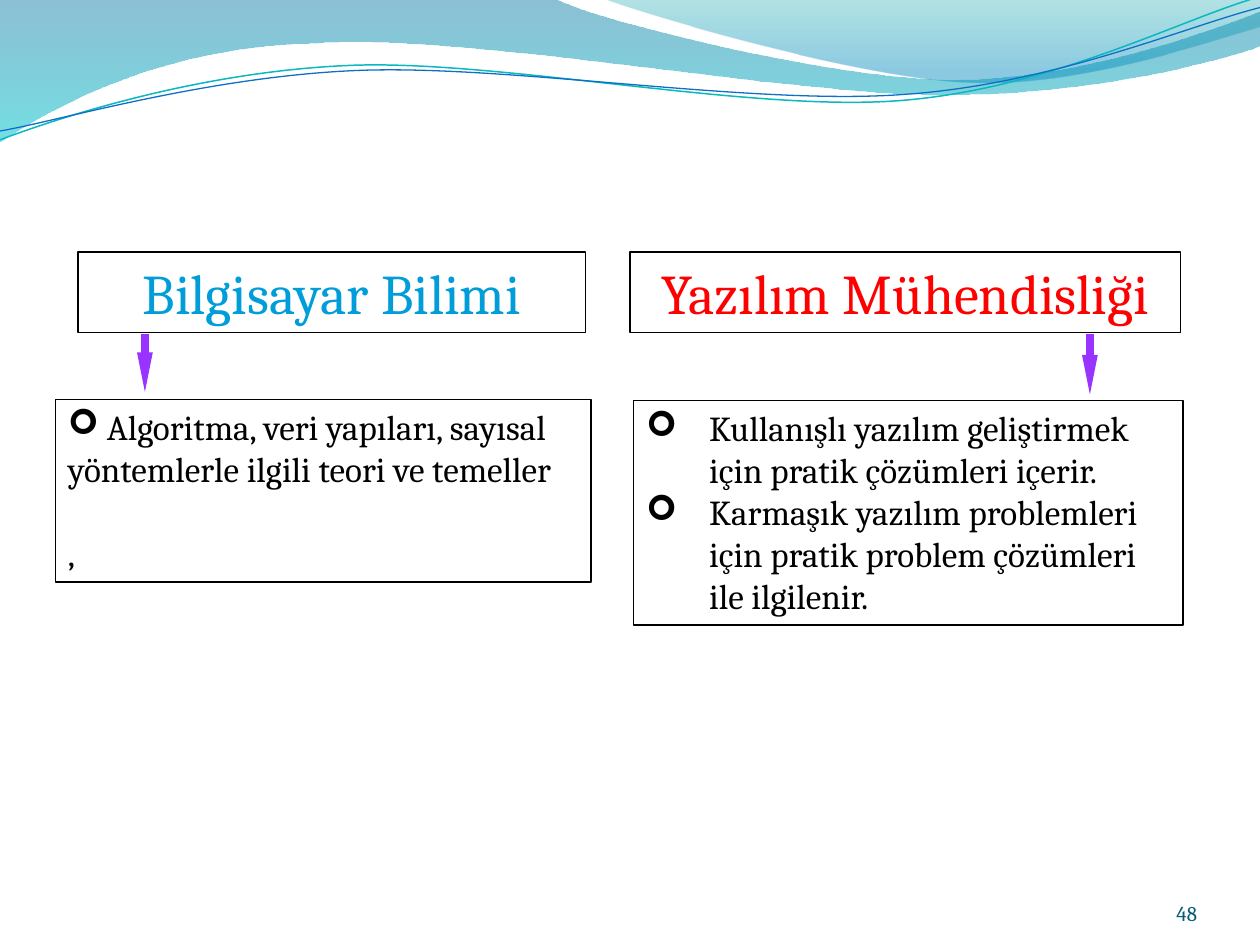
from dataclasses import dataclass

from lxml import etree
from pptx import Presentation
from pptx import util as u
from pptx.dml.color import RGBColor
from pptx.enum import shapes, text
from pptx.oxml.ns import qn

FONT = "Cambria"
BLACK = "000000"
ARROW_COLOUR = "9933FF"
BULLET = "➢"
BULLET_FONT = "Wingdings"
UNITS_PER_INCH = 100

Point = tuple[float, float]


@dataclass
class Wave:
    """An outline of points; a segment of one point is a line, of three a Bézier curve."""
    start: Point
    segments: list[list[Point]]


@dataclass
class Tint:
    position: float
    colour: str
    opacity: int


@dataclass
class Box:
    left: float
    top: float
    width: float
    height: float


@dataclass
class Item:
    words: str
    bulleted: bool = True
    hanging: float = 0
    space_before: float = 0


@dataclass
class Topic:
    title: str
    title_colour: str
    title_box: Box
    items: list[Item]
    items_box: Box
    arrow_x: float
    arrow_end: float


FILLED_WAVES = [
    (Wave((0, 0), [
        [(4.4, -0.01)],
        [(4.76, 0.17), (6.64, 0.63), (7.58, 0.63)],
        [(8.53, 0.63), (9.58, 0.26), (10, 0.09)],
        [(10.01, 0.36)],
        [(9.83, 0.44), (8.7, 0.76), (7.46, 0.75)],
        [(6.22, 0.75), (3.82, 0.28), (2.57, 0.34)],
        [(1.29, 0.36), (0.46, 0.83), (-0.01, 1.13)],
        [(0, 0)],
    ]), [Tint(0, "0074A1", 45), Tint(1, "00C6CF", 55)]),
    (Wave((4.79, -0.01), [
        [(5.09, 0.11), (6.82, 0.62), (7.69, 0.65)],
        [(8.56, 0.69), (9.61, 0.32), (10, 0.21)],
        [(10, 0)],
        [(4.79, -0.01)],
    ]), [Tint(0, "00A1A9", 30), Tint(0.8, "008BBF", 45)]),
]

LINE_WAVES = [
    (Wave((0, 1.11), [
        [(0.48, 0.93), (1.58, 0.57), (2.77, 0.52)],
        [(3.95, 0.47), (5.93, 0.89), (7.13, 0.8)],
        [(8.33, 0.71), (9.38, 0.15), (9.98, -0.02)],
    ]), "0AB8BF", 0.85),
    (Wave((0, 1.04), [
        [(0.47, 0.96), (1.64, 0.61), (2.83, 0.56)],
        [(4.03, 0.51), (5.97, 0.84), (7.17, 0.75)],
        [(8.36, 0.67), (9.41, 0.21), (10, 0.06)],
    ]), "0F6FC6", 0.75),
]

TOPICS = [
    Topic("Bilgisayar Bilimi", "009DD9", Box(0.62, 2, 4.03, 0.64),
          [Item(" Algoritma, veri yapıları, sayısal yöntemlerle ilgili teori ve temeller"),
           Item(",", bulleted=False, space_before=24)],
          Box(0.44, 3.17, 4.25, 1.45), 1.15, 3.11),
    Topic("Yazılım Mühendisliği", "FF0000", Box(5, 2, 4.37, 0.64),
          [Item("Kullanışlı yazılım geliştirmek için pratik çözümleri içerir.", hanging=0.5),
           Item("Karmaşık yazılım problemleri için pratik problem çözümleri ile ilgilenir.",
                hanging=0.5)],
          Box(5.03, 3.18, 4.36, 1.78), 8.65, 3.13),
]


def rgb(colour: str) -> RGBColor:
    return RGBColor.from_string(colour)


def place(box: Box) -> list[int]:
    return [u.Inches(n) for n in (box.left, box.top, box.width, box.height)]


def set_line(line, colour: str, width: float) -> None:
    line.color.rgb = rgb(colour)
    line.width = u.Pt(width)


def set_font(font, size: float, colour: str) -> None:
    font.name, font.size, font.color.rgb = FONT, u.Pt(size), rgb(colour)


def to_units(point: Point) -> Point:
    return tuple(round(n * UNITS_PER_INCH) for n in point)


def add_wave(slide, wave: Wave, closed: bool):
    """Lay out all points as lines, then merge each three-point segment into a curve."""
    builder = slide.shapes.build_freeform(*to_units(wave.start),
                                          scale=u.Inches(1) / UNITS_PER_INCH)
    builder.add_line_segments([to_units(p) for s in wave.segments for p in s], close=closed)
    shape = builder.convert_to_shape()
    shape.shadow.inherit = False
    lines = iter(list(shape._element.iter(qn("a:lnTo"))))
    for segment in wave.segments:
        parts = [next(lines) for _ in segment]
        if len(parts) == 3:
            curve = etree.Element(qn("a:cubicBezTo"))
            parts[0].addprevious(curve)
            for part in parts:
                curve.append(part[0])
                part.getparent().remove(part)
    return shape


def fill_gradient(fill, tints: list[Tint]) -> None:
    fill.gradient()
    fill.gradient_angle = 270
    for stop, tint in zip(fill.gradient_stops, tints):
        stop.position = tint.position
        stop.color.rgb = rgb(tint.colour)
    for colour, tint in zip(fill._xPr.iter(qn("a:srgbClr")), tints):
        etree.SubElement(colour, qn("a:alpha"), val=str(tint.opacity * 1000))


def add_frame(slide, box: Box):
    """Add an outlined rectangle and return its text frame."""
    shape = slide.shapes.add_shape(shapes.MSO_SHAPE.RECTANGLE, *place(box))
    shape.shadow.inherit = False
    shape.fill.background()
    set_line(shape.line, BLACK, 0.75)
    shape.text_frame.word_wrap = True
    shape.text_frame.vertical_anchor = text.MSO_ANCHOR.TOP
    return shape.text_frame


def add_items(frame, items: list[Item]) -> None:
    for index, item in enumerate(items):
        paragraph = frame.add_paragraph() if index else frame.paragraphs[0]
        paragraph.text = item.words
        paragraph.alignment = text.PP_ALIGN.LEFT
        paragraph.space_before = u.Pt(item.space_before)
        set_font(paragraph.font, 20, BLACK)
        if item.bulleted:
            properties = paragraph._p.get_or_add_pPr()
            properties.set("marL", str(u.Inches(item.hanging)))
            properties.set("indent", str(-u.Inches(item.hanging)))
            defaults = properties.find(qn("a:defRPr"))
            defaults.addprevious(etree.Element(qn("a:buFont"), typeface=BULLET_FONT))
            defaults.addprevious(etree.Element(qn("a:buChar"), char=BULLET))


def add_arrow(slide, x: float, top: float, bottom: float) -> None:
    arrow = slide.shapes.add_connector(
        shapes.MSO_CONNECTOR.STRAIGHT, *(u.Inches(n) for n in (x, top, x, bottom)))
    set_line(arrow.line, ARROW_COLOUR, 4.5)
    etree.SubElement(arrow.line._get_or_add_ln(), qn("a:tailEnd"),
                     type="triangle", w="sm", len="lg")
    etree.SubElement(arrow._element.spPr, qn("a:effectLst"))


def add_topic(slide, topic: Topic) -> None:
    title = add_frame(slide, topic.title_box).paragraphs[0]
    title.text = topic.title
    title.alignment = text.PP_ALIGN.CENTER
    set_font(title.font, 32, topic.title_colour)
    add_items(add_frame(slide, topic.items_box), topic.items)
    add_arrow(slide, topic.arrow_x, 2.65, topic.arrow_end)


def add_page_number(slide, number: str) -> None:
    frame = slide.shapes.add_textbox(*place(Box(8.67, 6.95, 0.83, 0.4))).text_frame
    frame.word_wrap = True
    frame.vertical_anchor = text.MSO_ANCHOR.BOTTOM
    frame.margin_left = frame.margin_right = frame.margin_top = frame.margin_bottom = 0
    paragraph = frame.paragraphs[0]
    paragraph.text = number
    paragraph.alignment = text.PP_ALIGN.RIGHT
    set_font(paragraph.font, 12, "045D75")


def main() -> None:
    deck = Presentation()
    deck.slide_width, deck.slide_height = u.Inches(10), u.Inches(7.5)
    slide = deck.slides.add_slide(deck.slide_layouts[6])
    for wave, tints in FILLED_WAVES:
        shape = add_wave(slide, wave, closed=True)
        fill_gradient(shape.fill, tints)
        shape.line.fill.background()
    for wave, colour, width in LINE_WAVES:
        shape = add_wave(slide, wave, closed=False)
        shape.fill.background()
        set_line(shape.line, colour, width)
    for topic in TOPICS:
        add_topic(slide, topic)
    add_page_number(slide, "48")
    deck.save("out.pptx")


if __name__ == "__main__":
    main()
